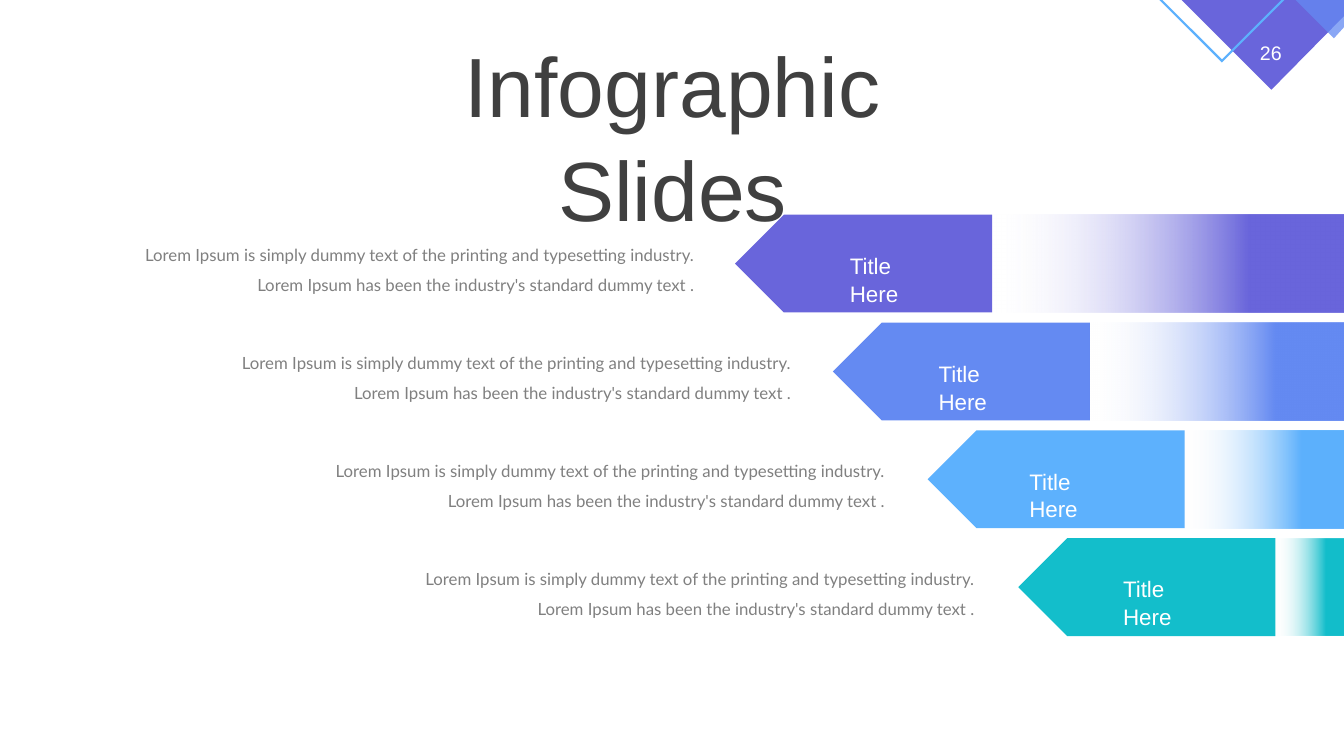
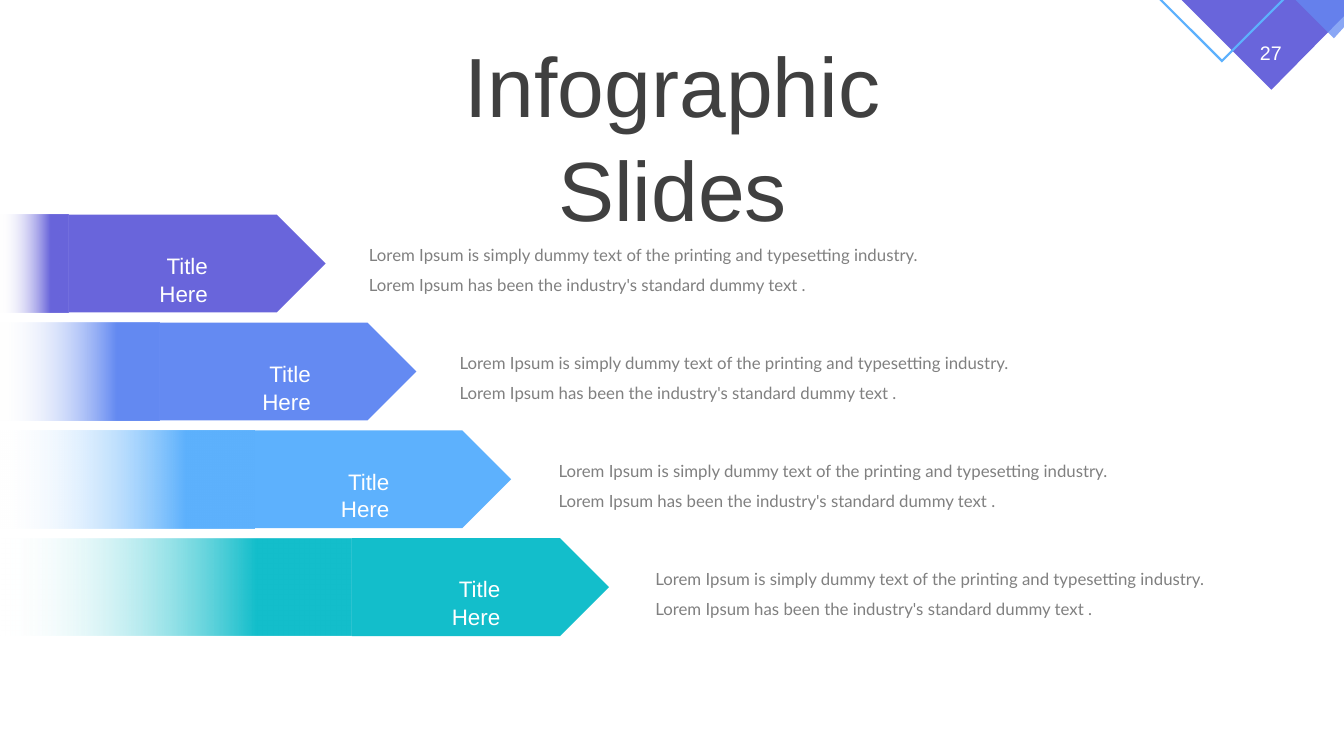
import dataclasses

import lxml.etree
import pptx
import pptx.dml.color
import pptx.enum.shapes
import pptx.enum.text
import pptx.oxml.ns
import pptx.util

Inches = pptx.util.Inches
Align = pptx.enum.text.PP_ALIGN
Preset = pptx.enum.shapes.MSO_SHAPE


@dataclasses.dataclass(frozen=True)
class Theme:
    violet: str = "6965DB"
    blue: str = "648AF2"
    sky: str = "5DB1FD"
    teal: str = "13BECB"
    white: str = "FFFFFF"
    dark: str = "404040"
    grey: str = "808080"
    head: str = "Arial"
    body: str = "Lato"
    title_size: int = 60
    label_size: int = 16
    page_size: int = 14
    body_size: int = 12
    head_space: float = 1.04
    body_space: float = 1.5


THEME = Theme()
BANDS = (THEME.violet, THEME.blue, THEME.sky, THEME.teal)

WIDTH, HEIGHT = 13.33, 7.5
TOP, PITCH = 2.13, 1.07
PLATE, BAND = 2.55, 0.97
BODY = 5.46
PAD = 0.1

TITLE = "Infographic Slides"
LABEL = "Title Here"
LOREM = ("Lorem Ipsum is simply dummy text of the printing and typesetting "
         "industry. Lorem Ipsum has been the industry's standard dummy text .")


def rgb(code):
    return pptx.dml.color.RGBColor.from_string(code)


def set_alpha(shape, percent):
    """Make the first colour of the shape's fill partly opaque."""
    color = next(shape._element.spPr.iter(pptx.oxml.ns.qn("a:srgbClr")))
    alpha = lxml.etree.SubElement(color, pptx.oxml.ns.qn("a:alpha"))
    alpha.set("val", str(percent * 1000))


def paint(shape, color):
    shape.shadow.inherit = False
    shape.line.fill.background()
    shape.fill.solid()
    shape.fill.fore_color.rgb = rgb(color)


def add_text(slide, text, box, size, color, align, font=THEME.head,
             space=THEME.head_space, pad=PAD):
    shape = slide.shapes.add_textbox(*map(Inches, box))
    frame = shape.text_frame
    frame.word_wrap = True
    frame.margin_left = frame.margin_right = Inches(pad)
    frame.margin_top = frame.margin_bottom = Inches(pad / 2)
    para = frame.paragraphs[0]
    para.alignment = align
    para.line_spacing = space
    run = para.add_run()
    run.text = text
    run.font.name = font
    run.font.size = pptx.util.Pt(size)
    run.font.color.rgb = rgb(color)


def add_outline(slide, points, color):
    start, *rest = [tuple(map(Inches, point)) for point in points]
    builder = slide.shapes.build_freeform(*start)
    builder.add_line_segments(rest, close=True)
    shape = builder.convert_to_shape()
    paint(shape, color)
    return shape


def add_corner(slide, page):
    add_outline(slide, [(11.72, 0), (WIDTH, 0), (WIDTH, 0.16), (12.61, 0.89)],
                THEME.violet)
    add_outline(slide, [(11.5, 0), (11.53, 0), (12.12, 0.59), (12.71, 0),
                        (12.74, 0), (12.12, 0.62)], THEME.sky)
    chip = add_outline(slide, [(12.85, 0), (WIDTH, 0), (WIDTH, 0.27),
                               (13.23, 0.38)], THEME.blue)
    set_alpha(chip, 75)
    add_text(slide, str(page), (12.33, 0.35, 0.55, 0.34), THEME.page_size,
             THEME.white, Align.CENTER)


def add_plate(slide, left, top, color, flip):
    shape = slide.shapes.add_shape(
        Preset.PENTAGON, *map(Inches, (left, top, PLATE, BAND)))
    paint(shape, color)
    if flip:
        shape.rotation = 180


def add_tail(slide, left, top, width, color):
    """Add a band that fades in from clear at its left."""
    shape = slide.shapes.add_shape(
        Preset.RECTANGLE, *map(Inches, (left, top, width, BAND)))
    paint(shape, color)
    shape.fill.gradient()
    shape.fill.gradient_angle = 0
    first, last = shape.fill.gradient_stops
    first.position, last.position = 0, 0.73
    first.color.rgb, last.color.rgb = rgb(THEME.white), rgb(color)
    set_alpha(shape, 0)


def add_row(slide, index, tail, label, body, flip):
    """Add one arrow, its tail at the slide's edge, and its two texts."""
    top, color = TOP + index * PITCH, BANDS[index]
    plate = WIDTH - tail - PLATE if flip else tail
    add_plate(slide, plate, top, color, flip)
    add_tail(slide, WIDTH - tail if flip else 0, top, tail, color)
    add_text(slide, LABEL, (label, top + 0.31, 1.11, 0.37), THEME.label_size,
             THEME.white, Align.LEFT if flip else Align.RIGHT)
    add_text(slide, LOREM, (body, top + 0.2, BODY, 0.57), THEME.body_size,
             THEME.grey, Align.RIGHT if flip else Align.LEFT,
             THEME.body, THEME.body_space, 0)


def add_page(deck, page, rows, flip):
    slide = deck.slides.add_slide(deck.slide_layouts[6])
    add_corner(slide, page)
    add_text(slide, TITLE, (3.32, 0.24, 6.7, 1.11), THEME.title_size,
             THEME.dark, Align.CENTER)
    for index, (tail, label, body) in enumerate(rows):
        add_row(slide, index, tail, label, body, flip)


def main():
    deck = pptx.Presentation()
    deck.slide_width, deck.slide_height = Inches(WIDTH), Inches(HEIGHT)
    tails = (3.49, 2.52, 1.58, 0.68)
    left_rows = zip(tails, (8.33, 9.21, 10.11, 11.04),
                    (1.43, 2.39, 3.32, 4.21))
    right_rows = zip(reversed(tails), (1.05, 2.07, 2.85, 3.95),
                     (3.66, 4.56, 5.54, 6.5))
    add_page(deck, 26, left_rows, flip=True)
    add_page(deck, 27, right_rows, flip=False)
    deck.save("out.pptx")


if __name__ == "__main__":
    main()
